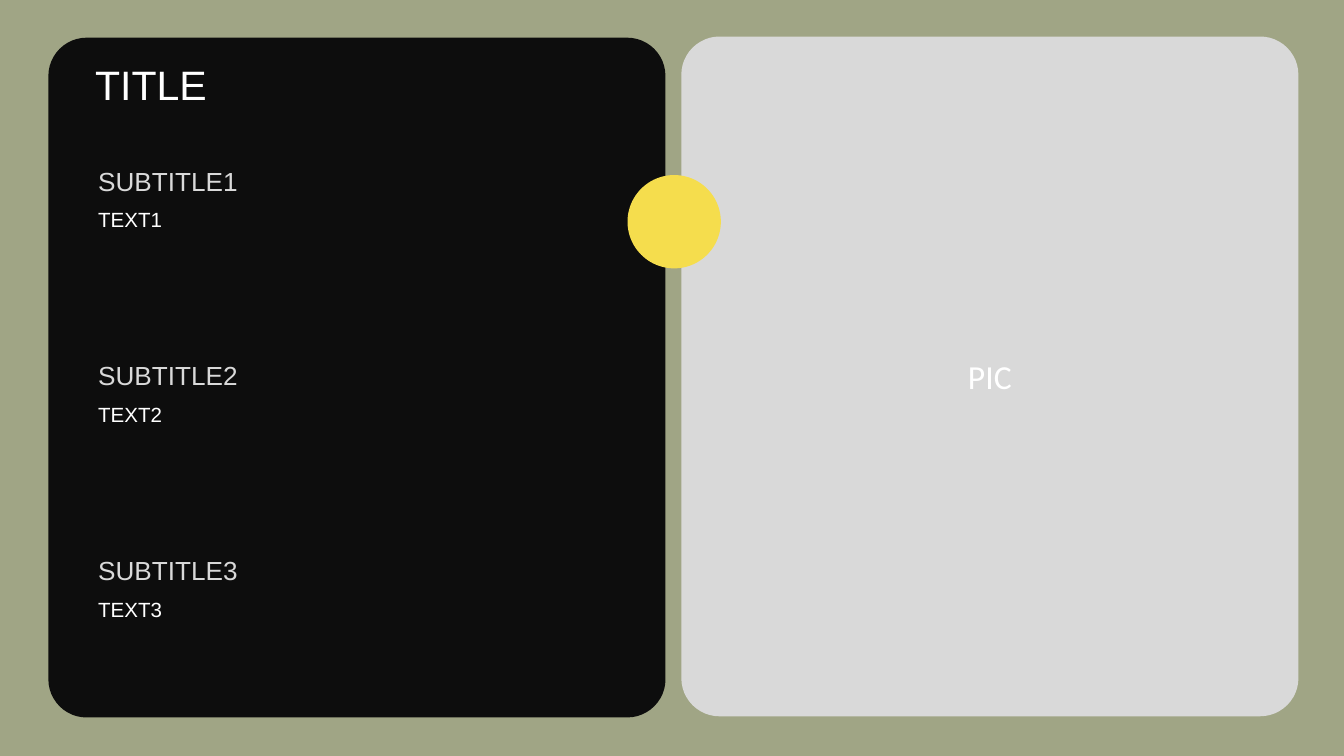
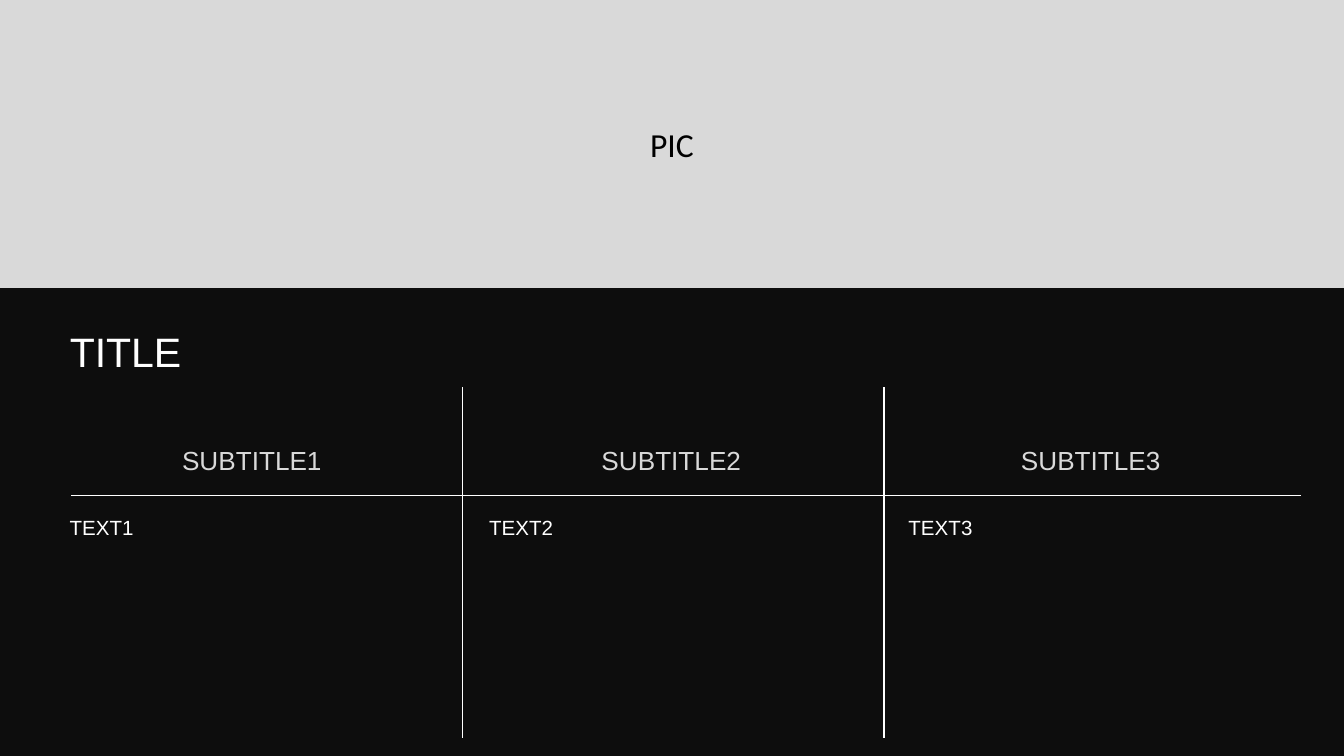
import pptx
import pptx.dml.color
import pptx.enum.shapes
import pptx.enum.text
import pptx.oxml.ns
import pptx.util
from lxml import etree

Pt = pptx.util.Pt
Shape = pptx.enum.shapes.MSO_SHAPE
Align = pptx.enum.text.PP_ALIGN
Anchor = pptx.enum.text.MSO_ANCHOR

HUES = {
    "sage": "A0A585",
    "black": "0D0D0D",
    "gray": "D9D9D9",
    "sun": "F5DD4D",
    "white": "FFFFFF",
    "ink": "000000",
}
FONTS = {
    "title": {"name": "Arial", "size": Pt(22)},
    "sub": {"name": "Arial", "size": Pt(14)},
    "body": {"name": "Arial", "size": Pt(11)},
    "pic": {"name": "Calibri", "size": Pt(18)},
}


def hue(name):
    return pptx.dml.color.RGBColor.from_string(HUES[name])


class Deck:
    def __init__(self, width, height):
        self.file = pptx.Presentation()
        self.file.slide_width = Pt(width)
        self.file.slide_height = Pt(height)
        self.slide = None

    def start(self, back):
        self.slide = self.file.slides.add_slide(self.file.slide_layouts[5])
        fill = self.slide.background.fill
        fill.solid()
        fill.fore_color.rgb = hue(back)

    def label(self, shape, text, style, color, align=Align.LEFT, anchor=Anchor.TOP):
        frame = shape.text_frame
        frame.text = text
        form = {
            "word_wrap": True,
            "auto_size": pptx.enum.text.MSO_AUTO_SIZE.NONE,
            "vertical_anchor": anchor,
        }
        for key, value in form.items():
            setattr(frame, key, value)
        line = frame.paragraphs[0]
        line.alignment = align
        for key, value in FONTS[style].items():
            setattr(line.font, key, value)
        line.font.color.rgb = hue(color)

    def title(self, text, *box):
        shape = self.slide.shapes.title
        for key, value in zip(("left", "top", "width", "height"), box):
            setattr(shape, key, Pt(value))
        self.label(shape, text, "title", "white")
        shape.element.getparent().append(shape.element)

    def text(self, text, style, color, box, **form):
        shape = self.slide.shapes.add_textbox(*map(Pt, box))
        self.label(shape, text, style, color, **form)

    def sub(self, text, *box, align=Align.LEFT):
        self.text(text, "sub", "gray", box, align=align, anchor=Anchor.BOTTOM)

    def body(self, text, *box):
        self.text(text, "body", "white", box)

    def shape(self, kind, color, *box):
        shape = self.slide.shapes.add_shape(kind, *map(Pt, box))
        shape.shadow.inherit = False
        shape.fill.solid()
        shape.fill.fore_color.rgb = hue(color)
        shape.line.fill.background()
        return shape

    def panel(self, color, *box, round=0):
        shape = self.shape(Shape.ROUNDED_RECTANGLE, color, *box)
        shape.adjustments[0] = round
        return shape

    def pic(self, color, *box, round=0):
        shape = self.panel("gray", *box, round=round)
        self.label(shape, "PIC", "pic", color, Align.CENTER, Anchor.MIDDLE)

    def rule(self, *ends):
        kind = pptx.enum.shapes.MSO_CONNECTOR.STRAIGHT
        line = self.slide.shapes.add_connector(kind, *map(Pt, ends))
        line.line.width = Pt(0.75)
        line.line.color.rgb = hue("white")
        etree.SubElement(line.element.spPr, pptx.oxml.ns.qn("a:effectLst"))


def rows(deck):
    deck.start("sage")
    deck.pic("white", 365, 19.6, 330.6, 364.2, round=0.062)
    deck.panel("black", 25.9, 20.2, 330.6, 364.2, round=0.062)
    deck.shape(Shape.OVAL, "sun", 336.2, 93.8, 50, 50)
    for i in range(3):
        top = 65.5 + i * 104.4
        deck.sub(f"SUBTITLE{i + 1}", 45.5, top, 291, 43.2)
        deck.body(f"TEXT{i + 1}", 45.5, top + 41.8, 291, 63)
    deck.title("TITLE", 43.8, 28, 299.5, 62)


def columns(deck):
    deck.start("black")
    deck.pic("ink", 0, 0, 720, 154.3)
    for i in range(3):
        left = 30.2 + i * 224.7
        deck.sub(f"SUBTITLE{i + 1}", left, 202.3, 209.5, 56.2, align=Align.CENTER)
        deck.body(f"TEXT{i + 1}", left, 272.2, 209.5, 123)
    for x in (247.8, 473.6):
        deck.rule(x, 207.4, x, 395.3)
    deck.rule(697, 265.5, 38.2, 265.5)
    deck.title("TITLE", 30.2, 171.5, 666.8, 38.2)


def main():
    deck = Deck(720, 405)
    rows(deck)
    columns(deck)
    deck.file.save("out.pptx")


if __name__ == "__main__":
    main()
